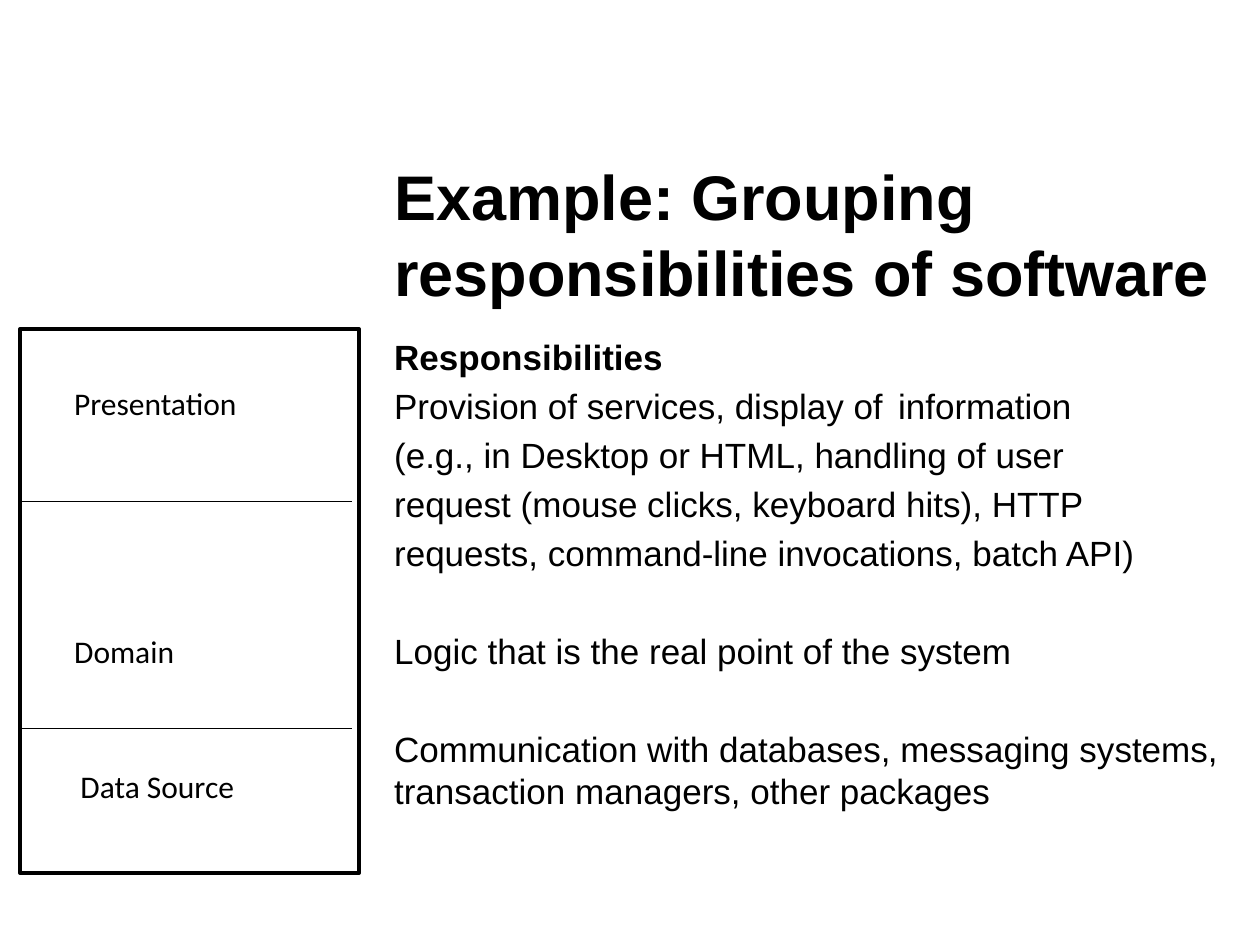
from lxml import etree
from pptx import Presentation
from pptx import util as u
from pptx.dml import color
from pptx.enum import shapes, text
from pptx.oxml import ns

BLACK = "000000"
WHITE = "FFFFFF"


def rgb(value):
    return color.RGBColor.from_string(value)


class SlideBuilder:
    heading_font = "Arial"
    label_font = "Calibri"

    def __init__(self, slide):
        self.slide = slide
        self.diagram = slide.shapes.add_group_shape()

    def add_run(self, paragraph, content, font, size, bold=False):
        run = paragraph.add_run()
        run.text = content
        run.font.name = font
        run.font.size = u.Pt(size)
        run.font.bold = bold
        run.font.color.rgb = rgb(BLACK)

    def text_block(self, left, top, width, height, size, paragraphs):
        shape = self.slide.shapes.add_textbox(
            u.Inches(left), u.Inches(top), u.Inches(width), u.Inches(height))
        frame = shape.text_frame
        frame.word_wrap = True
        frame.margin_right = 0
        for index, (content, space_before, bold) in enumerate(paragraphs):
            paragraph = frame.add_paragraph() if index else frame.paragraphs[0]
            paragraph.space_before = u.Pt(space_before)
            self.add_run(paragraph, content, self.heading_font, size, bold)

    def box(self, left, top, width, height):
        shape = self.diagram.shapes.add_shape(
            shapes.MSO_SHAPE.RECTANGLE, u.Inches(left), u.Inches(top),
            u.Inches(width), u.Inches(height))
        shape.shadow.inherit = False
        shape.fill.solid()
        shape.fill.fore_color.rgb = rgb(WHITE)
        shape.line.color.rgb = rgb(BLACK)
        shape.line.width = u.Pt(2)

    def divider(self, left, right, y):
        connector = self.diagram.shapes.add_connector(
            shapes.MSO_CONNECTOR.STRAIGHT, u.Inches(left), u.Inches(y),
            u.Inches(right), u.Inches(y))
        connector.line.color.rgb = rgb(BLACK)
        connector.line.width = u.Pt(0.75)
        etree.SubElement(connector._element.spPr, ns.qn("a:effectLst"))

    def label(self, content, left, top, width):
        shape = self.diagram.shapes.add_textbox(
            u.Inches(left), u.Inches(top), u.Inches(width), u.Inches(0.5))
        frame = shape.text_frame
        frame.word_wrap = False
        frame.auto_size = text.MSO_AUTO_SIZE.SHAPE_TO_FIT_TEXT
        self.add_run(frame.paragraphs[0], content, self.label_font, 18)


def main():
    presentation = Presentation()
    presentation.slide_width = u.Inches(10)
    presentation.slide_height = u.Inches(7.5)
    slide = presentation.slides.add_slide(presentation.slide_layouts[6])
    builder = SlideBuilder(slide)

    text_left, text_width = 3.03, 6.67
    content_top, content_height = 2.61, 4.32
    line_gap, section_gap = 4, 32

    builder.text_block(text_left, 1.2, text_width, 0.71, 36, [
        ("Example: Grouping responsibilities of software", 0, True)])
    builder.text_block(text_left, content_top, text_width, content_height, 20, [
        ("Responsibilities", line_gap, True),
        ("Provision of services, display of \tinformation", line_gap, False),
        ("(e.g., in Desktop or HTML, handling of user", line_gap, False),
        ("request (mouse clicks, keyboard hits), HTTP", line_gap, False),
        ("requests, command-line invocations, batch API)", line_gap, False),
        ("Logic that is the real point of the system", section_gap, False),
        ("Communication with databases, messaging systems, "
         "transaction managers, other packages", section_gap, False)])

    box_left = 0.16
    builder.box(box_left, content_top, 2.69, content_height)
    for y in (3.98, 5.78):
        builder.divider(box_left, 2.79, y)
    for layer in (("Presentation", 0.49, 3, 2.02),
                  ("Domain", 0.49, 4.97, 1.35),
                  ("Data Source", 0.54, 6.04, 1.92)):
        builder.label(*layer)

    presentation.save("out.pptx")


if __name__ == "__main__":
    main()
